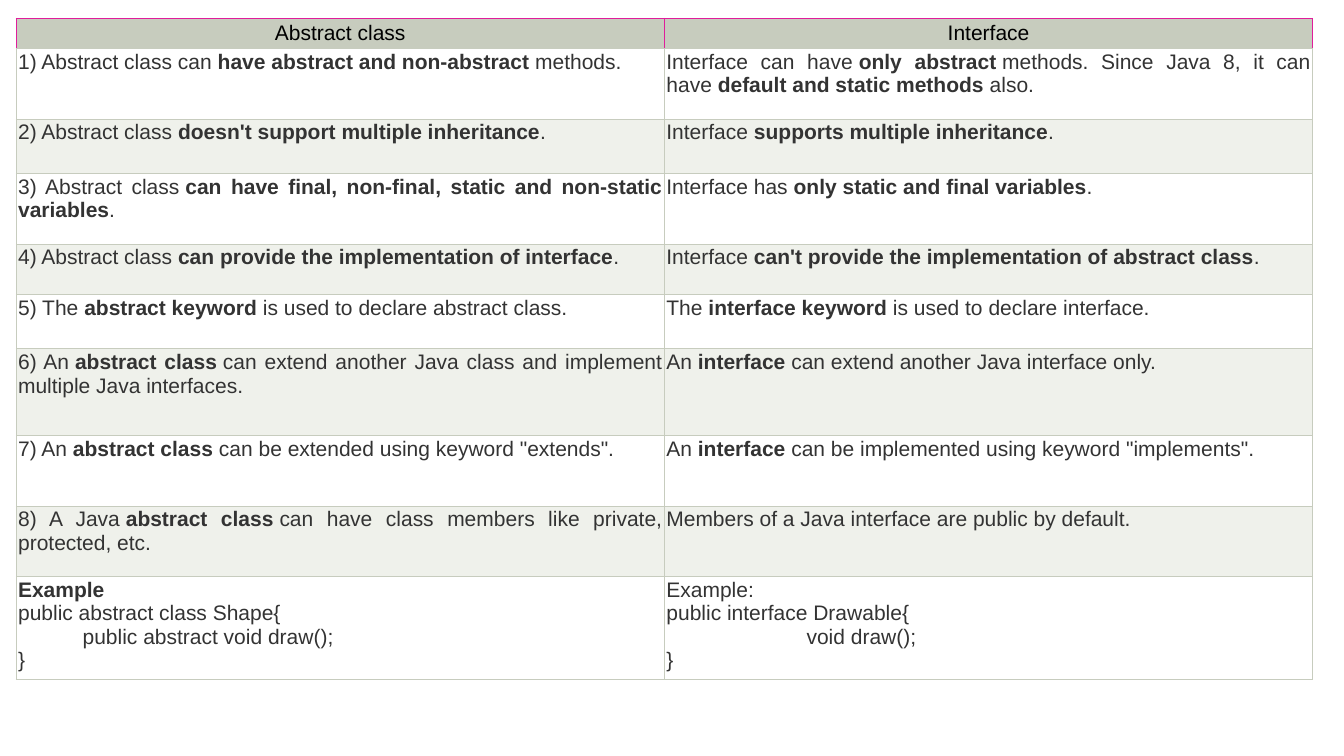
from dataclasses import dataclass

from lxml import etree
from pptx import Presentation
from pptx.dml.color import RGBColor
from pptx.enum.text import PP_ALIGN
from pptx.oxml.ns import qn
from pptx.util import Inches, Pt

CENTER, JUSTIFY = PP_ALIGN.CENTER, PP_ALIGN.JUSTIFY
NBSP = chr(160)

# Text between asterisks is bold.
HEADINGS = ("Abstract class", "Interface")
COMPARISONS = [
    ("1) Abstract class can *have abstract and non-abstract* methods.",
     "Interface can have *only abstract* methods. Since Java 8, it can have "
     "*default and static methods* also."),
    ("2) Abstract class *doesn't support multiple inheritance*.",
     "Interface *supports multiple inheritance*."),
    ("3) Abstract class *can have final, non-final, static and non-static variables*.",
     "Interface has *only static and final variables*."),
    ("4) Abstract class *can provide the implementation of interface*.",
     "Interface *can't provide the implementation of abstract class*."),
    ("5) The *abstract keyword* is used to declare abstract class.",
     "The *interface keyword* is used to declare interface."),
    ("6) An *abstract class* can extend another Java class and implement "
     "multiple Java interfaces.",
     "An *interface* can extend another Java interface only."),
    ('7) An *abstract class* can be extended using keyword "extends".',
     'An *interface* can be implemented using keyword "implements".'),
    ("8) A Java *abstract class* can have class members like private, protected, etc.",
     "Members of a Java interface are public by default."),
    ("*Example*\npublic abstract class Shape{\npublic abstract void draw();\n}",
     "Example:\npublic interface Drawable{\nvoid draw();\n}"),
]
METHOD_LINE = "draw();"
METHOD_INDENTS = (0.64, 1.39)

SLIDE_WIDTH, SLIDE_HEIGHT = 13.33, 7.5
TABLE_LEFT, TABLE_TOP = 0.16, 0.18
COLUMN_WIDTH = 6.43
ROW_HEIGHTS = (0.3, 0.7, 0.54, 0.7, 0.5, 0.54, 0.86, 0.7, 0.7, 1.02)


@dataclass(frozen=True)
class Theme:
    font: str = "Arial"
    size: float = 15
    heading_text: str = "000000"
    body_text: str = "333333"
    heading_fill: str = "C7CCBE"
    bands: tuple = ("FFFFFF", "EFF1EB")
    border: str = "C7CCBE"
    heading_border: str = "E01D9B"
    border_width: float = 0.5


THEME = Theme()


def set_borders(cell, side_colors):
    properties = cell._tc.get_or_add_tcPr()
    for side, color in zip("LRTB", side_colors):
        line = etree.SubElement(properties, qn(f"a:ln{side}"),
                                w=str(Pt(THEME.border_width)))
        fill = etree.SubElement(line, qn("a:solidFill"))
        etree.SubElement(fill, qn("a:srgbClr"), val=color)


def hold_edge_spaces(piece):
    """Make the spaces beside bold words non-breaking."""
    if piece.startswith(" "):
        piece = NBSP + piece[1:]
    if piece.endswith(" "):
        piece = piece[:-1] + NBSP
    return piece


def write_cell(cell, text, color, alignment, margin, method_indent):
    cell.margin_left = cell.margin_right = Inches(margin)
    cell.margin_top = cell.margin_bottom = Inches(margin)
    frame = cell.text_frame
    lines = text.split("\n")
    frame.text = "\n" * (len(lines) - 1)
    for paragraph, line in zip(frame.paragraphs, lines):
        paragraph.alignment = alignment
        if line.endswith(METHOD_LINE):
            paragraph._p.get_or_add_pPr().set("marL", str(Inches(method_indent)))
        for index, piece in enumerate(line.split("*")):
            if not piece:
                continue
            run = paragraph.add_run()
            run.text = hold_edge_spaces(piece)
            run.font.name = THEME.font
            run.font.size = Pt(THEME.size)
            run.font.bold = index % 2 == 1
            run.font.color.rgb = RGBColor.from_string(color)


def build_table(slide):
    rows = [HEADINGS, *COMPARISONS]
    table = slide.shapes.add_table(
        len(rows), len(HEADINGS), Inches(TABLE_LEFT), Inches(TABLE_TOP),
        Inches(COLUMN_WIDTH * len(HEADINGS)), Inches(sum(ROW_HEIGHTS))).table
    table.horz_banding = False
    for column in table.columns:
        column.width = Inches(COLUMN_WIDTH)

    for r, (texts, height) in enumerate(zip(rows, ROW_HEIGHTS)):
        table.rows[r].height = Inches(height)
        if r == 0:
            color, fill, alignment, margin = (
                THEME.heading_text, THEME.heading_fill, CENTER, 0.03)
            borders = [THEME.heading_border] * 3 + [THEME.border]
        else:
            color, fill, alignment, margin = (
                THEME.body_text, THEME.bands[(r - 1) % 2], JUSTIFY, 0.02)
            borders = [THEME.border] * 4
        for c, text in enumerate(texts):
            cell = table.cell(r, c)
            set_borders(cell, borders)
            cell.fill.solid()
            cell.fill.fore_color.rgb = RGBColor.from_string(fill)
            write_cell(cell, text, color, alignment, margin, METHOD_INDENTS[c])


def main():
    deck = Presentation()
    deck.slide_width = Inches(SLIDE_WIDTH)
    deck.slide_height = Inches(SLIDE_HEIGHT)
    blank_layout = deck.slide_layouts[6]
    build_table(deck.slides.add_slide(blank_layout))
    deck.save("out.pptx")


if __name__ == "__main__":
    main()
